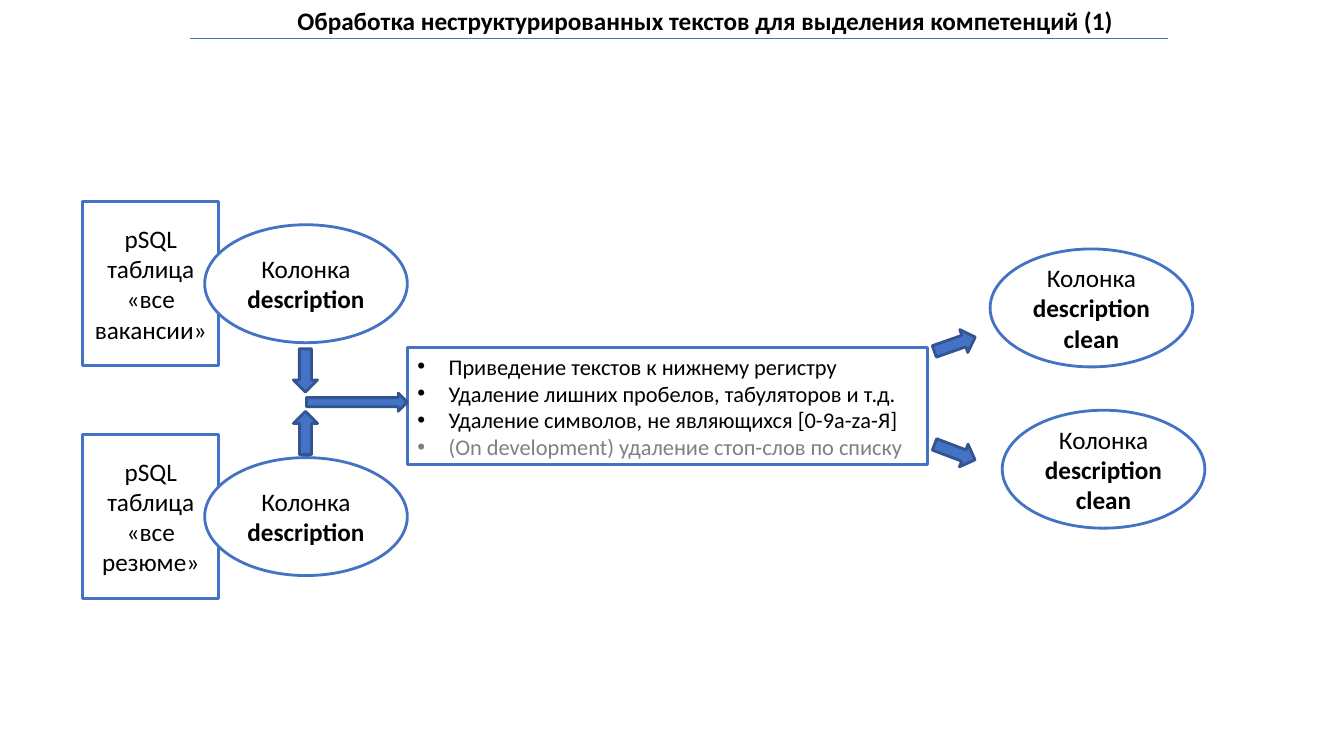
from lxml import etree
from pptx import Presentation
from pptx import util as u
from pptx.dml import color
from pptx.enum import shapes, text
from pptx.oxml import ns

KIND = shapes.MSO_SHAPE
BLUE, NAVY, WHITE, BLACK, GREY = "4472C4", "325490", "FFFFFF", "000000", "808080"


def rgb(code):
    return color.RGBColor.from_string(code)


def put(obj, vals):
    for key, val in vals.items():
        setattr(obj, key, val)


class Board:
    """Holds the style and the current slide."""

    font = "Calibri"
    size = 18
    frame = {
        "word_wrap": True, "auto_size": text.MSO_AUTO_SIZE.NONE,
        "margin_left": u.Inches(0.1), "margin_right": u.Inches(0.1),
        "margin_top": u.Inches(0.05), "margin_bottom": u.Inches(0.05),
    }

    def __init__(self, slide):
        self.slide = slide

    def place(self, shape, box):
        keys = ("left", "top", "width", "height")
        put(shape, dict(zip(keys, map(u.Inches, box))))

    def paint(self, shape, fill, line):
        shape.fill.solid()
        shape.fill.fore_color.rgb = rgb(fill)
        shape.line.color.rgb = rgb(line)
        shape.line.width = u.Pt(2)

    def setup(self, shape, anchor):
        put(shape.text_frame, {**self.frame, "vertical_anchor": anchor})

    def label(self, para, words, size=None, bold=False, ink=BLACK):
        run = para.add_run()
        run.text = words
        put(run.font, {"name": self.font, "size": u.Pt(size or self.size), "bold": bold})
        run.font.color.rgb = rgb(ink)

    def title(self, words, box):
        head = self.slide.shapes.title
        self.place(head, box)
        self.setup(head, text.MSO_ANCHOR.TOP)
        para = head.text_frame.paragraphs[0]
        para.alignment = text.PP_ALIGN.CENTER
        self.label(para, words, bold=True)

    def rule(self, x1, x2, y):
        ends = map(u.Inches, (x1, y, x2, y))
        line = self.slide.shapes.add_connector(shapes.MSO_CONNECTOR.STRAIGHT, *ends)
        line.line.color.rgb = rgb(BLUE)
        line.line.width = u.Pt(0.75)
        etree.SubElement(line._element.spPr, ns.qn("a:effectLst"))

    def shape(self, kind, box, fill, line):
        item = self.slide.shapes.add_shape(kind, *map(u.Inches, box))
        item.shadow.inherit = False
        self.paint(item, fill, line)
        return item

    def node(self, kind, box, words, strong=""):
        item = self.shape(kind, box, WHITE, BLUE)
        self.setup(item, text.MSO_ANCHOR.MIDDLE)
        para = item.text_frame.paragraphs[0]
        para.alignment = text.PP_ALIGN.CENTER
        self.label(para, words)
        if strong:
            self.label(para, strong, bold=True)

    def arrow(self, kind, box, turn=0):
        self.shape(kind, box, BLUE, NAVY).rotation = turn

    def bullet(self, para, ink):
        props = para._p.get_or_add_pPr()
        step = u.Inches(0.31)
        props.set("marL", str(step))
        props.set("indent", str(-step))
        tint = etree.SubElement(props, ns.qn("a:buClr"))
        etree.SubElement(tint, ns.qn("a:srgbClr"), val=ink)
        etree.SubElement(props, ns.qn("a:buFont"), typeface="Arial")
        etree.SubElement(props, ns.qn("a:buChar"), char="•")

    def list(self, items, box):
        body = self.slide.placeholders[1]
        self.place(body, box)
        self.paint(body, WHITE, BLUE)
        self.setup(body, text.MSO_ANCHOR.TOP)
        frame = body.text_frame
        for num, (words, ink) in enumerate(items):
            para = frame.add_paragraph() if num else frame.paragraphs[0]
            put(para, {"space_before": u.Pt(0), "alignment": text.PP_ALIGN.LEFT})
            self.bullet(para, ink)
            self.label(para, words, size=16, ink=ink)


def main():
    deck = Presentation()
    put(deck, {"slide_width": u.Inches(13.33), "slide_height": u.Inches(7.5)})
    board = Board(deck.slides.add_slide(deck.slide_layouts[1]))

    # Heading
    board.title("Обработка неструктурированных текстов для выделения компетенций (1)",
                (2.41, 0, 9.17, 0.4))
    board.rule(1.88, 11.58, 0.38)

    # Source tables and their columns
    for top, name in ((2, "вакансии"), (4.31, "резюме")):
        board.node(KIND.RECTANGLE, (0.82, top, 1.35, 1.63), f"pSQL таблица «все {name}»")
        board.node(KIND.OVAL, (2.03, top + 0.23, 2.01, 1.17), "Колонка ", "description")

    # Cleaning steps
    board.list([
        ("Приведение текстов к нижнему регистру", BLACK),
        ("Удаление лишних пробелов, табуляторов и т.д.", BLACK),
        ("Удаление символов, не являющихся [0-9a-zа-Я]", BLACK),
        ("(On development) удаление стоп-слов по списку", GREY),
    ], (4.04, 3.45, 5.16, 1.16))

    # Arrows into and out of the steps
    board.arrow(KIND.RIGHT_ARROW, (3.04, 3.9, 1, 0.18))
    for left, top, turn in ((2.91, 3.46, 0), (2.91, 4.08, 180),
                            (9.35, 4.27, 290.8), (9.35, 3.2, 250.7)):
        board.arrow(KIND.DOWN_ARROW, (left, top, 0.24, 0.43), turn)

    # Cleaned columns
    for left, top in ((9.82, 2.47), (9.94, 4.07)):
        board.node(KIND.OVAL, (left, top, 2.01, 1.17), "Колонка ", "description clean")

    deck.save("out.pptx")


if __name__ == "__main__":
    main()
